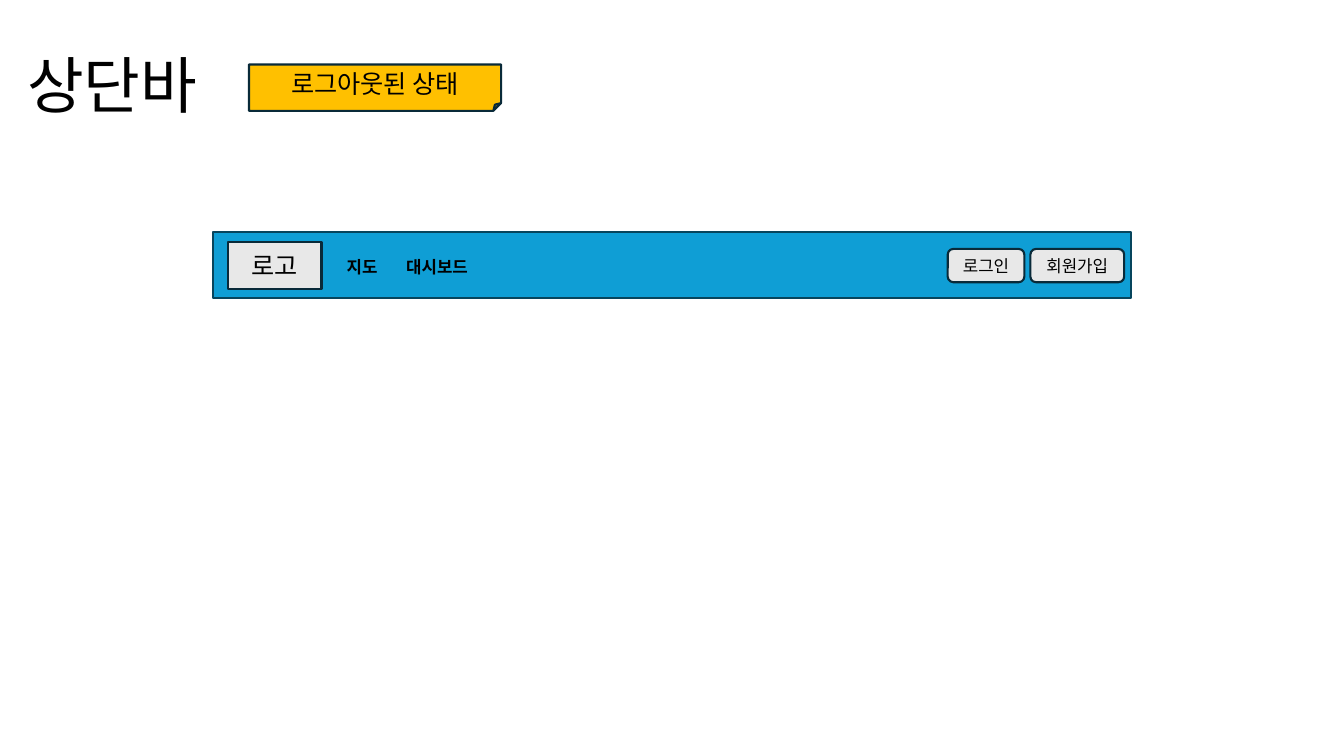
from lxml.etree import SubElement
from pptx import Presentation
from pptx.dml.color import RGBColor as Rgb
from pptx.enum.shapes import MSO_SHAPE as Kind
from pptx.enum.text import MSO_ANCHOR as Anchor, MSO_AUTO_SIZE as Fit, PP_ALIGN as Align
from pptx.oxml.ns import qn
from pptx.util import Inches, Pt

FACE = "Noto Sans CJK KR"
BLACK = Rgb(0x00, 0x00, 0x00)
BLUE = Rgb(0x0F, 0x9E, 0xD5)
TEAL = Rgb(0x07, 0x45, 0x5D)
NAVY = Rgb(0x09, 0x2A, 0x39)
GREY = Rgb(0xE8, 0xE8, 0xE8)
GOLD = Rgb(0xFF, 0xC0, 0x00)


def write(frame, text, size, align, anchor=Anchor.MIDDLE, bold=False):
    """Put one styled line of text in a frame."""
    frame.text = text
    frame.vertical_anchor = anchor
    line = frame.paragraphs[0]
    line.alignment = align
    font = line.runs[0].font
    font.name = FACE
    font.size = Pt(size)
    font.bold = bold
    font.color.rgb = BLACK
    SubElement(line.runs[0]._r.get_or_add_rPr(), qn("a:ea"), typeface=FACE)


def add_title(slide, text):
    """Place and fill the title."""
    title = slide.shapes.title
    title.left, title.top = Inches(0.17), Inches(0.15)
    title.width, title.height = Inches(12.99), Inches(1.45)
    write(title.text_frame, text, 44, Align.LEFT)
    title.text_frame.paragraphs[0].line_spacing = 0.9


def add_box(slide, kind, area, fill, edge=NAVY, text="", size=18):
    """Draw an outlined shape with an optional centred label."""
    box = slide.shapes.add_shape(kind, *map(Inches, area))
    box.shadow.inherit = False
    box.fill.solid()
    box.fill.fore_color.rgb = fill
    box.line.color.rgb = edge
    box.line.width = Pt(1.5)
    if text:
        write(box.text_frame, text, size, Align.CENTER)


def add_link(slide, left, width, text):
    """Add a bold menu entry to the bar."""
    link = slide.shapes.add_textbox(*map(Inches, (left, 2.5, width, 0.3)))
    frame = link.text_frame
    write(frame, text, 12, Align.LEFT, Anchor.TOP, True)
    frame.word_wrap = False
    frame.auto_size = Fit.SHAPE_TO_FIT_TEXT


def main():
    """Build the top bar slide."""
    deck = Presentation()
    deck.slide_width, deck.slide_height = Inches(13.33), Inches(7.5)
    slide = deck.slides.add_slide(deck.slide_layouts[5])
    add_title(slide, "상단바")
    add_box(slide, Kind.RECTANGLE, (2.11, 2.3, 9.11, 0.66), BLUE, TEAL)
    add_box(slide, Kind.RECTANGLE, (2.26, 2.4, 0.93, 0.47), GREY, text="로고")
    for left, width, text in ((9.4, 0.76, "로그인"), (10.22, 0.93, "회원가입")):
        area = (left, 2.47, width, 0.33)
        add_box(slide, Kind.ROUNDED_RECTANGLE, area, GREY, text=text, size=12)
    add_box(slide, Kind.FOLDED_CORNER, (2.47, 0.64, 2.5, 0.46), GOLD, text="로그아웃된 상태")
    add_link(slide, 3.34, 0.54, "지도")
    add_link(slide, 3.93, 0.88, "대시보드")
    deck.save("out.pptx")


if __name__ == "__main__":
    main()
